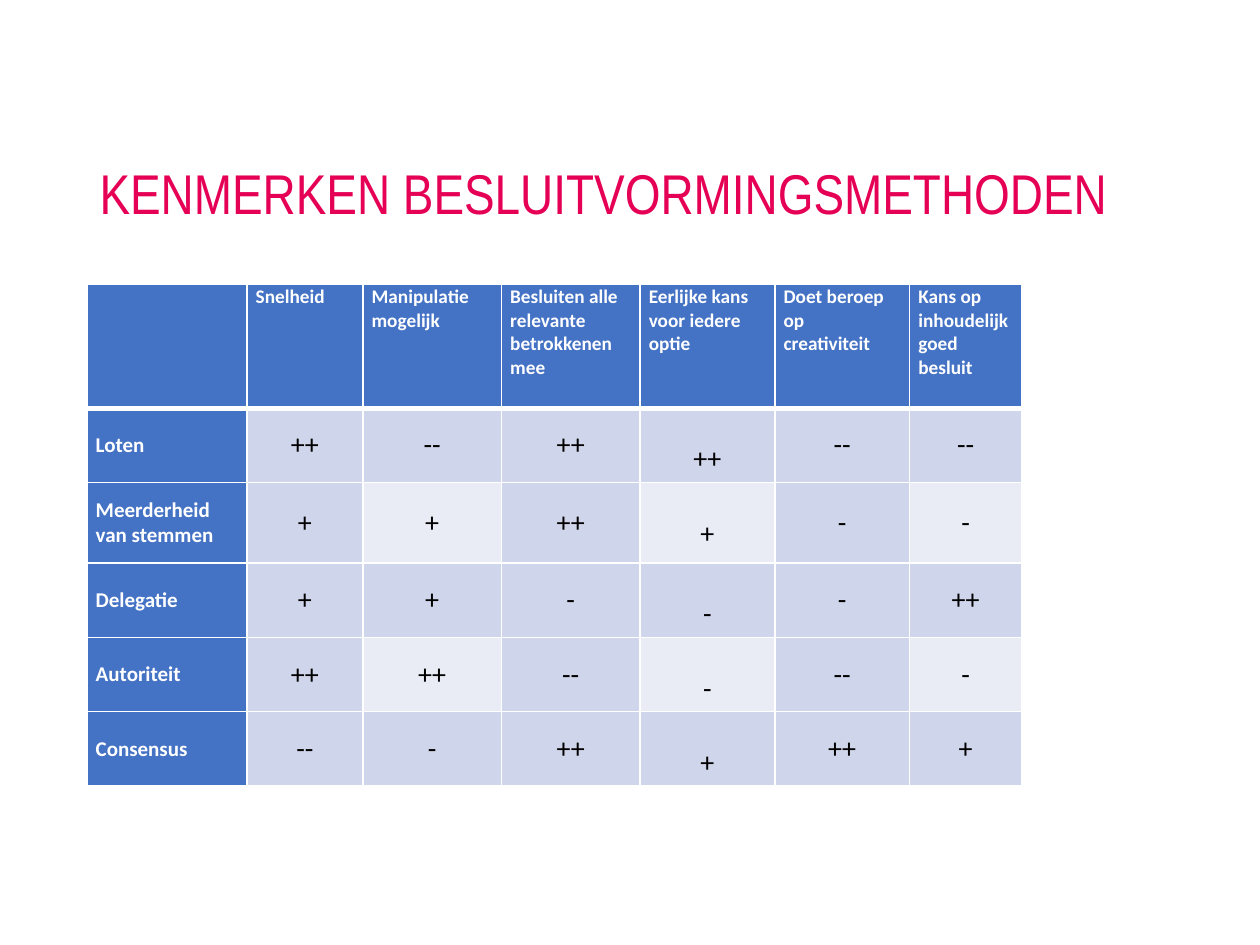
from lxml import etree
from pptx import Presentation
from pptx.dml.color import RGBColor
from pptx.enum.text import MSO_ANCHOR, MSO_AUTO_SIZE, PP_ALIGN
from pptx.oxml.ns import qn
from pptx.util import Inches, Pt

LEFT, CENTER = PP_ALIGN.LEFT, PP_ALIGN.CENTER
TOP, MIDDLE, BOTTOM = MSO_ANCHOR.TOP, MSO_ANCHOR.MIDDLE, MSO_ANCHOR.BOTTOM
NO_AUTOFIT = MSO_AUTO_SIZE.NONE
TITLE_ONLY = 5

COLUMN_WIDTHS = [1.27, 0.92, 1.1, 1.1, 1.07, 1.07, 0.89]
ROW_HEIGHTS = [0.98, 0.59, 0.64, 0.59, 0.59, 0.59]
LOWERED_COLUMN = 4
CRITERIA = [
    "",
    "Snelheid",
    "Manipulatie mogelijk",
    "Besluiten alle relevante betrokkenen mee",
    "Eerlijke kans voor iedere optie",
    "Doet beroep op\ncreativiteit",
    "Kans op inhoudelijk goed besluit",
]
METHODS = [
    ["Loten", "++", "--", "++", "++", "--", "--"],
    ["Meerderheid van stemmen", "+", "+", "++", "+", "-", "-"],
    ["Delegatie", "+", "+", "-", "-", "-", "++"],
    ["Autoriteit", "++", "++", "--", "-", "--", "-"],
    ["Consensus", "--", "-", "++", "+", "++", "+"],
]


def color(value):
    return RGBColor.from_string(value)


def write_text(text_frame, text, font, size, fill, bold=False, align=LEFT, line_spacing=None):
    text_frame.text = text
    for paragraph in text_frame.paragraphs:
        paragraph.alignment = align
        paragraph.line_spacing = line_spacing
        paragraph.font.name = font
        paragraph.font.size = Pt(size)
        paragraph.font.bold = bold
        paragraph.font.color.rgb = color(fill)


def set_borders(cell, fill, widths):
    properties = cell._tc.get_or_add_tcPr()
    for side, width in widths.items():
        line = etree.SubElement(properties, qn(f"a:ln{side}"), w=str(Pt(width)))
        solid = etree.SubElement(line, qn("a:solidFill"))
        etree.SubElement(solid, qn("a:srgbClr"), val=fill)


class SlideBuilder:
    title_font = "Arial Narrow"
    body_font = "Calibri"
    accent = "E50056"
    header = "4472C4"
    band = "CFD5EA"
    light_band = "E9EBF5"
    white = "FFFFFF"
    black = "000000"

    def __init__(self, slide):
        self.slide = slide

    def title(self, text, left, top, width, height):
        shape = self.slide.shapes.title
        shape.left, shape.top = Inches(left), Inches(top)
        shape.width, shape.height = Inches(width), Inches(height)
        text_frame = shape.text_frame
        text_frame.auto_size = NO_AUTOFIT
        text_frame.vertical_anchor = BOTTOM
        write_text(text_frame, text, self.title_font, 32, self.accent, line_spacing=0.9)

    def table(self, rows, left, top):
        shape = self.slide.shapes.add_table(
            len(rows), len(rows[0]), Inches(left), Inches(top),
            Inches(sum(COLUMN_WIDTHS)), Inches(sum(ROW_HEIGHTS)),
        )
        table = shape.table
        table.horz_banding = False
        for column, width in zip(table.columns, COLUMN_WIDTHS):
            column.width = Inches(width)
        for row, height in zip(table.rows, ROW_HEIGHTS):
            row.height = Inches(height)
        for row_index, row in enumerate(rows):
            for column_index, text in enumerate(row):
                self.cell(table.cell(row_index, column_index), text, row_index, column_index)

    def cell(self, cell, text, row, column):
        is_header = row == 0
        is_label = is_header or column == 0
        is_lowered = column == LOWERED_COLUMN and not is_header
        is_light = row % 2 == 0 and column % 2 == 0
        set_borders(cell, self.white, {
            "L": 1, "R": 1, "T": 3 if row == 1 else 1, "B": 3 if is_header else 1,
        })
        cell.fill.solid()
        cell.fill.fore_color.rgb = color(
            self.header if is_label else self.light_band if is_light else self.band
        )
        cell.margin_left = cell.margin_right = Inches(0.07)
        cell.margin_top = Inches(0.27 if is_lowered else 0)
        cell.margin_bottom = 0
        cell.vertical_anchor = TOP if is_header or is_lowered else MIDDLE
        write_text(
            cell.text_frame, text, self.body_font,
            size=11 if is_header else 12 if is_label else 16,
            fill=self.white if is_label else self.black,
            bold=is_label,
            align=LEFT if is_label else CENTER,
        )


def main():
    presentation = Presentation()
    presentation.slide_width, presentation.slide_height = Inches(10), Inches(7.5)
    slide = presentation.slides.add_slide(presentation.slide_layouts[TITLE_ONLY])
    builder = SlideBuilder(slide)
    builder.title("KENMERKEN BESLUITVORMINGSMETHODEN", 0.69, 0.4, 8.62, 1.45)
    builder.table([CRITERIA, *METHODS], 0.69, 2.26)
    presentation.save("out.pptx")


if __name__ == "__main__":
    main()
